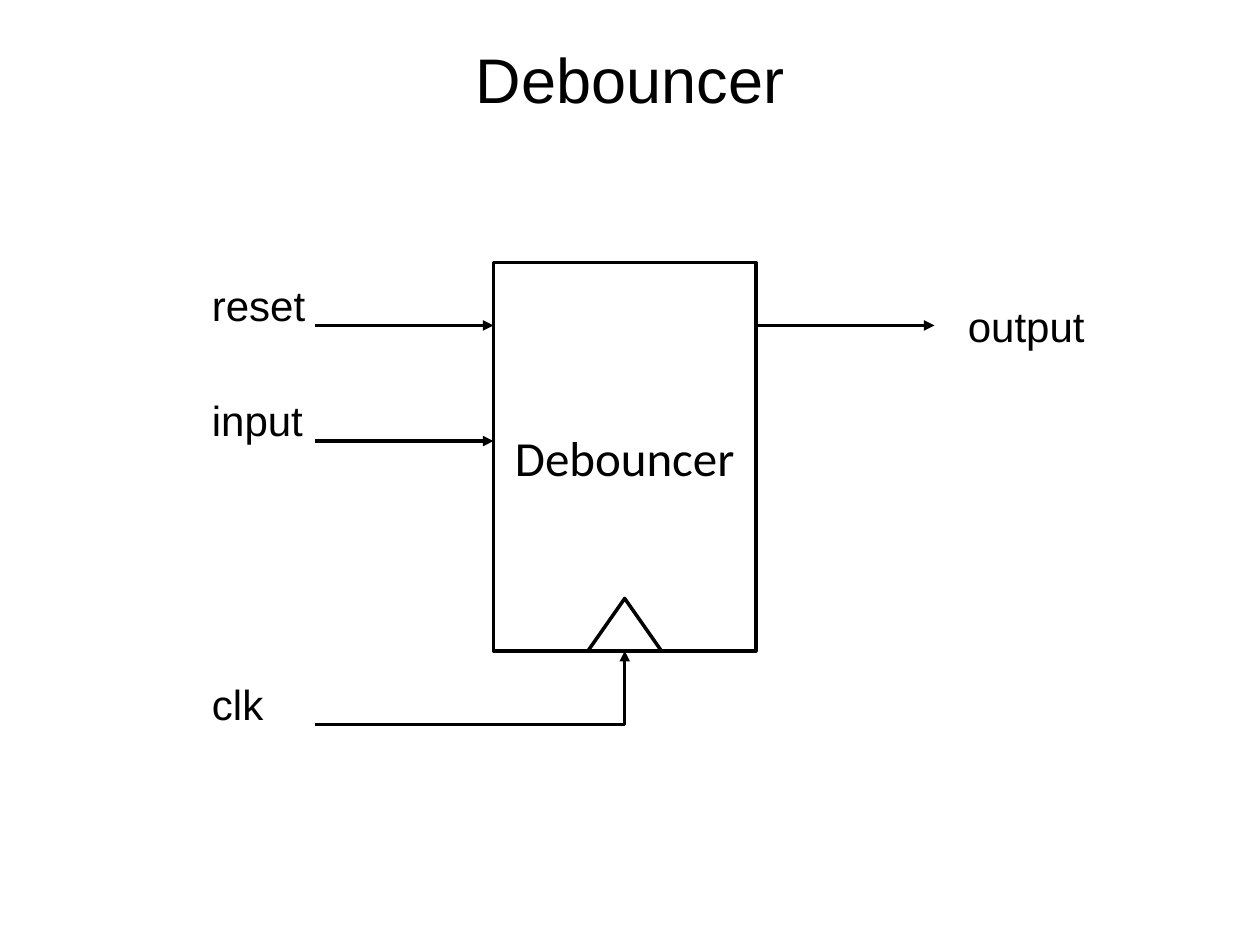
"""Build the debouncer block diagram slide."""
from lxml.etree import SubElement
from pptx import Presentation
from pptx.dml.color import RGBColor
from pptx.enum.shapes import MSO_CONNECTOR, MSO_SHAPE
from pptx.enum.text import MSO_ANCHOR, MSO_AUTO_SIZE, PP_ALIGN
from pptx.oxml.ns import qn
from pptx.util import Inches, Pt

COLORS = {"ink": "000000"}
INK = RGBColor.from_string(COLORS["ink"])
NAME = "Debouncer"
STEP = Inches(1) // 12
TITLE = (6, 0, 108, 15)
BOX = (47, 25, 25, 37)
CLOCK = (56, 57, 7, 5)
LEFT, RIGHT = BOX[0], BOX[0] + BOX[2]
MID, BASE = LEFT + BOX[2] / 2, BOX[1] + BOX[3]
REACH = 17
START = LEFT - REACH
WIRES = [
    (START, 31, LEFT, 31),
    (START, 42, LEFT, 42),
    (RIGHT, 31, RIGHT + REACH, 31),
]
LABELS = [
    ("reset", 19, 26, 0.96),
    ("input", 19, 37, 0.93),
    ("clk", 19, 64, 0.61),
    ("output", 91, 28, 1.14),
]


def grid(*cells):
    return [int(cell * STEP) for cell in cells]


def write(shape, text, size, font="Arial", align=PP_ALIGN.CENTER):
    frame = shape.text_frame
    frame.text = text
    para = frame.paragraphs[0]
    para.alignment = align
    para.font.size = Pt(size)
    para.font.name = font
    para.font.color.rgb = INK
    return frame


def stroke(shape):
    shape.line.color.rgb = INK
    shape.line.width = Pt(2)


def outline(slide, kind, cells):
    shape = slide.shapes.add_shape(kind, *grid(*cells))
    shape.shadow.inherit = False
    shape.fill.background()
    stroke(shape)
    return shape


def arrow(slide, cells, kind=MSO_CONNECTOR.STRAIGHT):
    wire = slide.shapes.add_connector(kind, *grid(*cells))
    stroke(wire)
    SubElement(wire.line._get_or_add_ln(), qn("a:tailEnd"), type="triangle")
    props = wire._element.spPr
    SubElement(props, qn("a:effectLst"))
    if kind == MSO_CONNECTOR.ELBOW:
        props.find(qn("a:prstGeom")).set("prst", "bentConnector2")


def main():
    deck = Presentation()
    deck.slide_width, deck.slide_height = grid(120, 90)
    slide = deck.slides.add_slide(deck.slide_layouts[5])

    title = slide.shapes.title
    title.left, title.top, title.width, title.height = grid(*TITLE)
    write(title, NAME, 36).vertical_anchor = MSO_ANCHOR.MIDDLE

    block = outline(slide, MSO_SHAPE.RECTANGLE, BOX)
    write(block, NAME, 28, "Calibri").vertical_anchor = MSO_ANCHOR.MIDDLE
    outline(slide, MSO_SHAPE.ISOSCELES_TRIANGLE, CLOCK)

    arrow(slide, (START, 69, MID, BASE), MSO_CONNECTOR.ELBOW)
    for cells in WIRES:
        arrow(slide, cells)

    for text, col, row, wide in LABELS:
        label = slide.shapes.add_textbox(*grid(col, row), Inches(wide), Inches(0.51))
        frame = write(label, text, 24, align=PP_ALIGN.LEFT)
        frame.word_wrap = False
        frame.auto_size = MSO_AUTO_SIZE.SHAPE_TO_FIT_TEXT

    deck.save("out.pptx")


if __name__ == "__main__":
    main()
